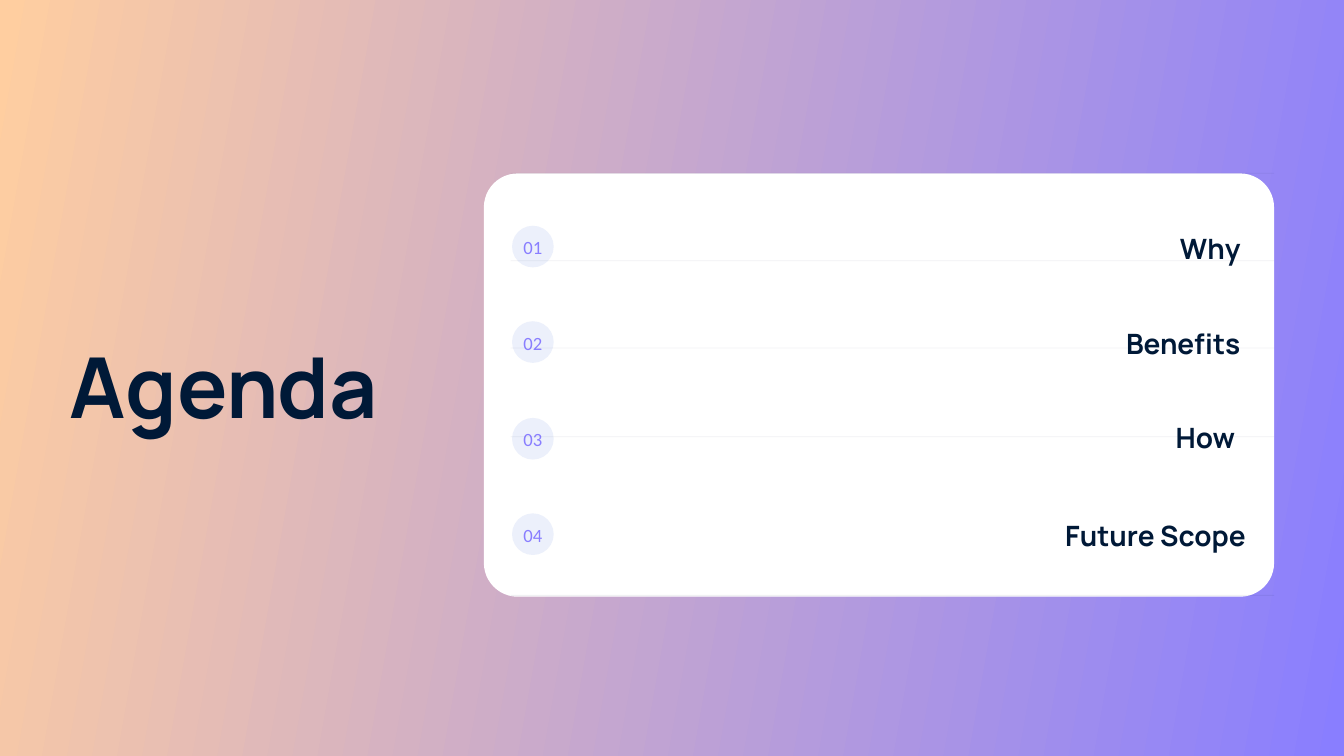
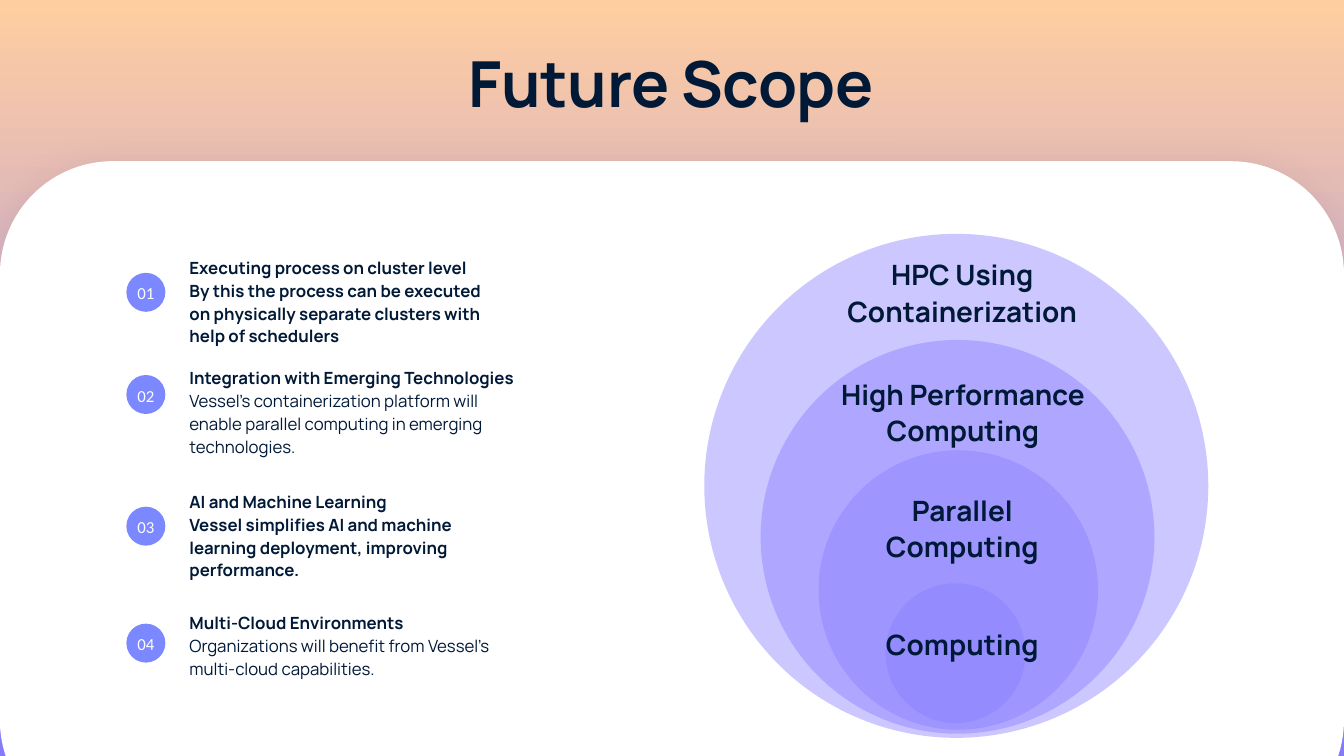
from lxml import etree
from pptx import Presentation
from pptx.dml.color import RGBColor
from pptx.enum.shapes import MSO_CONNECTOR, MSO_SHAPE
from pptx.enum.text import MSO_ANCHOR, MSO_AUTO_SIZE, PP_ALIGN
from pptx.oxml.ns import qn
from pptx.util import Pt

PX = 9144
NAVY = RGBColor(0x00, 0x19, 0x37)
PURPLE = RGBColor(0x89, 0x7E, 0xFF)
PEACH = RGBColor(0xFF, 0xCE, 0xA0)
WHITE = RGBColor(0xFF, 0xFF, 0xFF)
PALE = RGBColor(0xEC, 0xF0, 0xFB)
BLUE = RGBColor(0x7B, 0x88, 0xFF)
OFF_WHITE = RGBColor(0xFD, 0xFE, 0xFF)
LEFT, CENTER, RIGHT = PP_ALIGN.LEFT, PP_ALIGN.CENTER, PP_ALIGN.RIGHT
TOP, MIDDLE, BOTTOM = MSO_ANCHOR.TOP, MSO_ANCHOR.MIDDLE, MSO_ANCHOR.BOTTOM
OVAL, ROUNDED = MSO_SHAPE.OVAL, MSO_SHAPE.ROUNDED_RECTANGLE
STRAIGHT = MSO_CONNECTOR.STRAIGHT


def write(sp, text, size, leading, color=NAVY, font="Manrope", bold=(True,),
          align=LEFT, anchor=TOP, inset=(0, 0), spacing=None):
    tf = sp.text_frame
    tf.word_wrap = True
    tf.auto_size = MSO_AUTO_SIZE.NONE
    tf.vertical_anchor = anchor
    tf.margin_left = tf.margin_right = inset[0] * PX
    tf.margin_top = tf.margin_bottom = inset[1] * PX
    for i, line in enumerate(text.split("\n")):
        p = tf.add_paragraph() if i else tf.paragraphs[0]
        p.alignment = align
        p.line_spacing = Pt(leading)
        r = p.add_run()
        r.text = line
        r.font.name = font
        r.font.size = Pt(size)
        r.font.bold = bold[min(i, len(bold) - 1)]
        r.font.color.rgb = color
        if spacing:
            r._r.get_or_add_rPr().set("spc", str(spacing))


def draw(s, kind, x, y, w, h, color, adj=None, alpha=None):
    sp = s.shapes.add_shape(kind, x * PX, y * PX, w * PX, h * PX)
    sp.shadow.inherit = False
    sp.line.fill.background()
    sp.fill.solid()
    sp.fill.fore_color.rgb = color
    if adj:
        sp.adjustments[0] = adj
    if alpha:
        clr = sp._element.spPr.find(qn("a:solidFill"))[0]
        etree.SubElement(clr, qn("a:alpha"), val=str(alpha * 1000))
    return sp


prs = Presentation()
prs.slide_width = 1000 * PX
prs.slide_height = prs.slide_width * 9 // 16

slides = []
for title, angle, box, size, leading, align in [
    ("Agenda", 170, (52, 255, 260, 69), 45, 49.5, LEFT),
    ("Future Scope", 90, (83, 38, 833, 52), 34, 37.1, CENTER),
]:
    s = prs.slides.add_slide(prs.slide_layouts[5])
    fill = s.background.fill
    fill.gradient()
    fill.gradient_angle = angle
    for stop, color in zip(fill.gradient_stops, (PURPLE, PEACH)):
        stop.color.rgb = color
    sp = s.shapes.title
    sp.left, sp.top, sp.width, sp.height = [v * PX for v in box]
    write(sp, title, size, leading, align=align, spacing=-20)
    slides.append(s)
agenda, future = slides

draw(agenda, ROUNDED, 360, 129, 588, 315, WHITE, adj=0.08)
for i in range(4):
    sp = draw(agenda, OVAL, 381, round(168 + 71.4 * i), 31, 31, PALE)
    write(sp, f"0{i + 1}", 10, 12.7, color=PURPLE, font="Calibri", bold=(False,),
          align=CENTER, anchor=MIDDLE, inset=(2, 4))
for y in (129, 194, 259, 325, 443):
    rule = agenda.shapes.add_connector(STRAIGHT, 380 * PX, y * PX, 948 * PX, y * PX)
    rule.line.color.rgb = NAVY
    rule.line.width = Pt(0.42)
    clr = rule.line._ln.find(qn("a:solidFill"))[0]
    etree.SubElement(clr, qn("a:alpha"), val="5000")
    etree.SubElement(rule._element.spPr, qn("a:effectLst"))
for topic, y, right in [("Why", 170, 923), ("Benefits", 241, 923),
                        ("How", 311, 919), ("Future Scope", 384, 927)]:
    sp = agenda.shapes.add_textbox((right - 480) * PX, y * PX, 480 * PX, 27 * PX)
    write(sp, topic, 15, 19.5, align=RIGHT, anchor=MIDDLE)

panel = draw(future, ROUNDED, 0, 120, 1000, 500, WHITE, adj=0.168)
effects = panel._element.spPr.find(qn("a:effectLst"))
shadow = etree.SubElement(effects, qn("a:outerShdw"), blurRad=str(Pt(20)),
                          dist=str(Pt(2)), dir="5400000", algn="ctr", rotWithShape="0")
clr = etree.SubElement(shadow, qn("a:srgbClr"), val="000000")
etree.SubElement(clr, qn("a:alpha"), val="5000")

for x, y, d in [(524, 174, 375), (566, 253, 293), (609, 335, 208), (659, 434, 104)]:
    draw(future, OVAL, x, y, d, d, PURPLE, alpha=43)
for label, x, y, w, h in [
    ("HPC Using Containerization", 621, 190, 190, 54),
    ("High Performance Computing", 617, 279, 199, 54),
    ("Parallel Computing", 657, 365, 118, 54),
    ("Computing", 659, 465, 114, 27),
]:
    sp = future.shapes.add_textbox(x * PX, y * PX, w * PX, h * PX)
    write(sp, label, 15, 19.5, align=CENTER, anchor=BOTTOM)

points = [
    ("Executing process on cluster level\nBy this the process can be executed "
     "on physically separate clusters with help of schedulers", 190, 67, 203, True),
    ("Integration with Emerging Technologies\nVessel's containerization platform will "
     "enable parallel computing in emerging technologies.", 272, 67, 279, False),
    ("AI and Machine Learning\nVessel simplifies AI and machine "
     "learning deployment, improving performance.", 364, 67, 377, True),
    ("Multi-Cloud Environments\nOrganizations will benefit from Vessel's "
     "multi-cloud capabilities.", 454, 51, 464, False),
]
for i, (text, y, h, badge_y, bold_body) in enumerate(points, 1):
    w = 246 if i == 2 else 234
    sp = future.shapes.add_textbox(141 * PX, y * PX, w * PX, h * PX)
    write(sp, text, 9, 12.2, bold=(True, bold_body))
    sp = draw(future, OVAL, 94, badge_y, 29, 29, BLUE)
    write(sp, f"0{i}", 9, 11.7, color=OFF_WHITE, font="Calibri", bold=(False,),
          align=CENTER, anchor=MIDDLE, inset=(2, 3))

prs.save("out.pptx")
